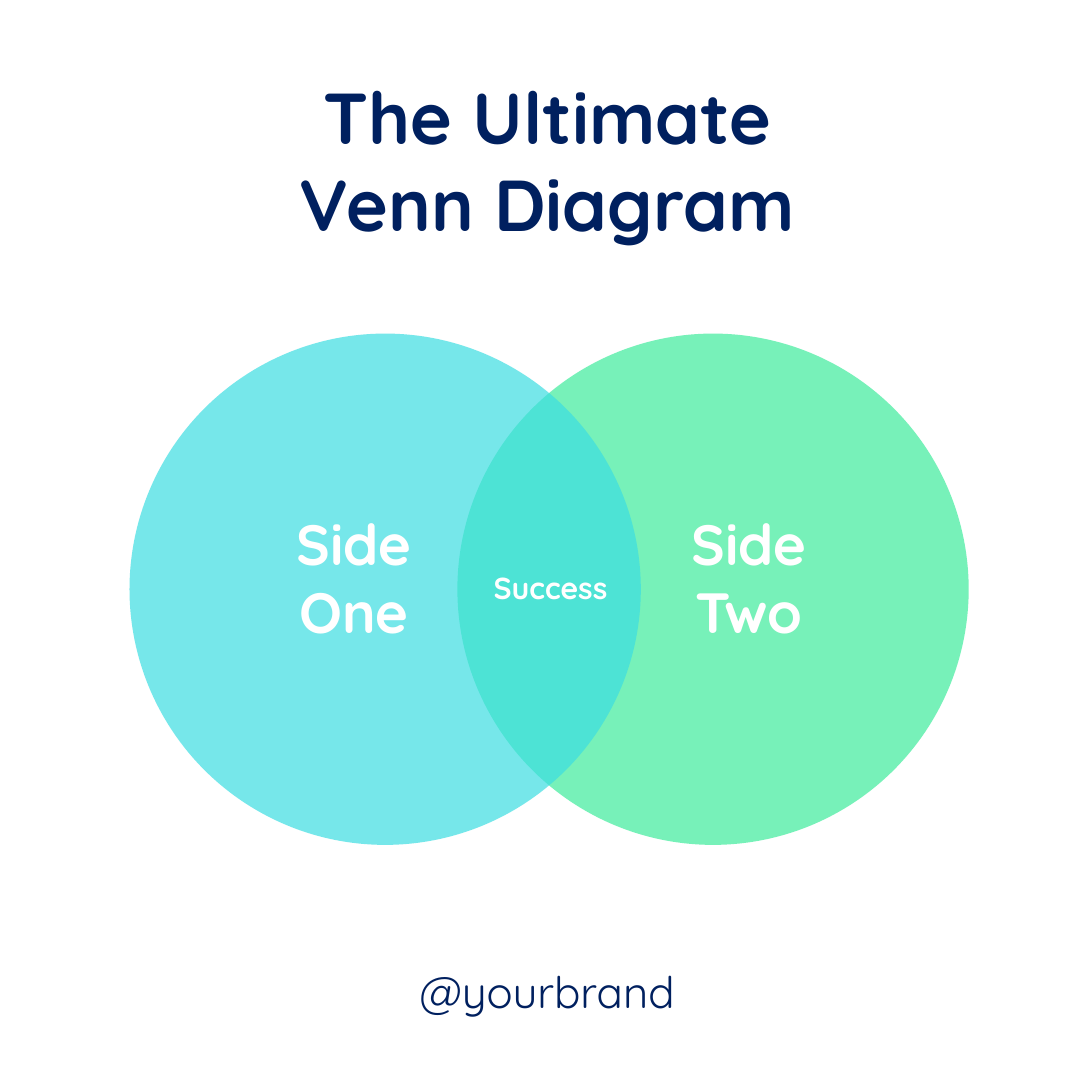
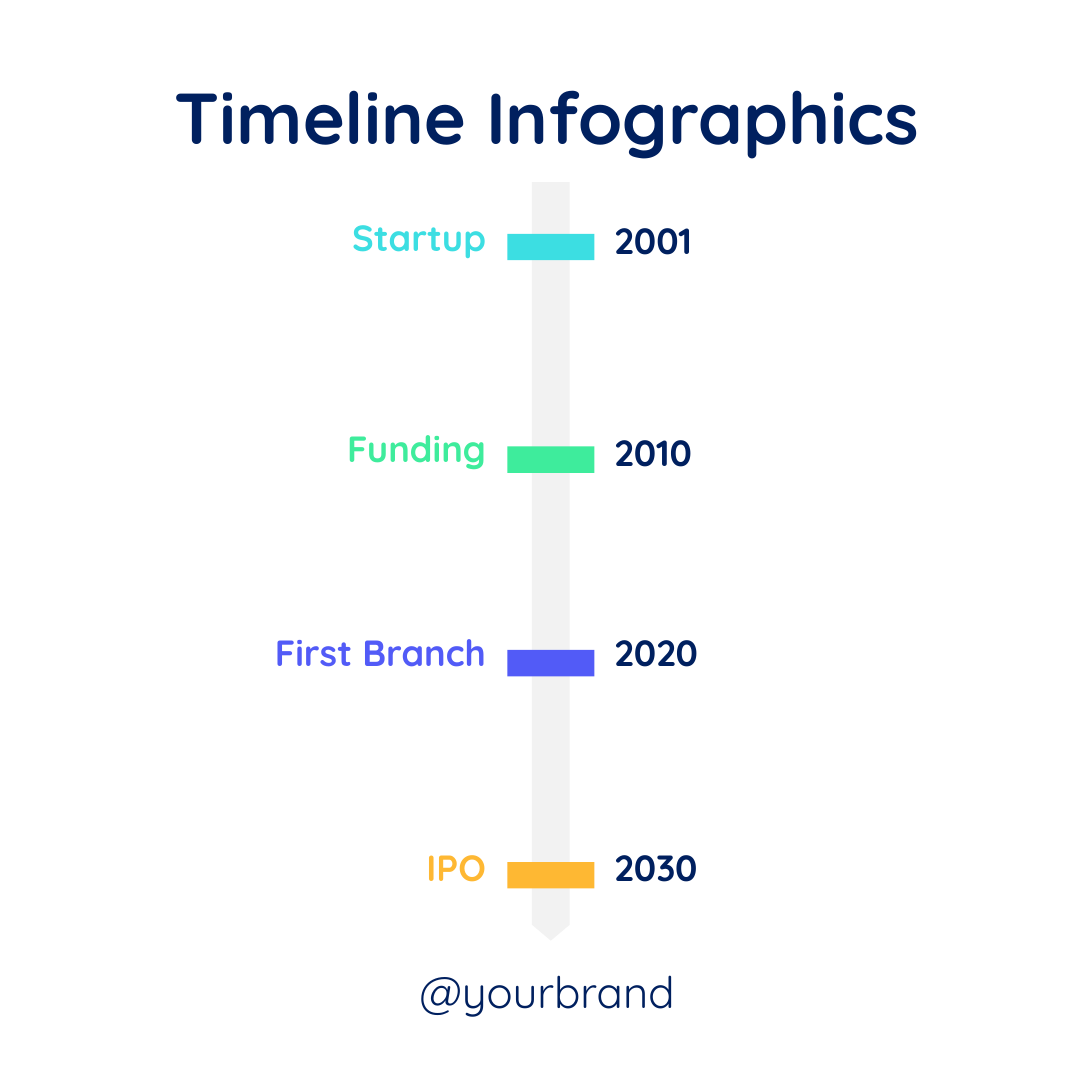
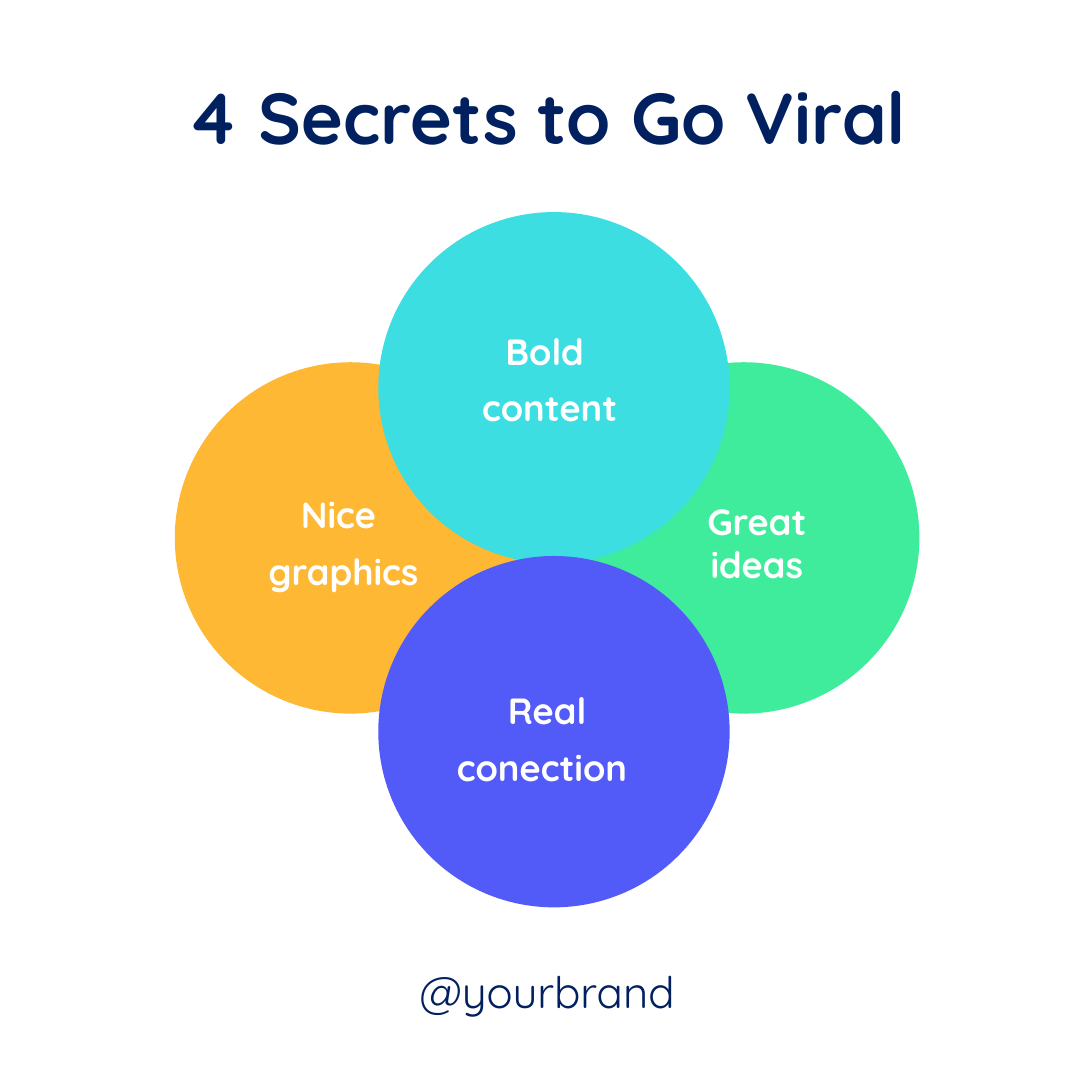
from lxml.etree import SubElement
from pptx import Presentation
from pptx.dml.color import RGBColor
from pptx.enum.shapes import MSO_SHAPE
from pptx.enum.text import MSO_ANCHOR, MSO_AUTO_SIZE, PP_ALIGN
from pptx.oxml.ns import qn
from pptx.util import Cm, Pt

NAVY = RGBColor(0x00, 0x20, 0x5F)
CYAN = RGBColor(0x3C, 0xDE, 0xE2)
GREEN = RGBColor(0x3E, 0xEC, 0x9C)
VIOLET = RGBColor(0x52, 0x5B, 0xF7)
AMBER = RGBColor(0xFE, 0xB8, 0x33)
PALE_GREY = RGBColor(0xF2, 0xF2, 0xF2)
WHITE = RGBColor(0xFF, 0xFF, 0xFF)

FONT = "Quicksand"
SLIDE_SIDE = 19.05
TITLE_ONLY_LAYOUT = 5


def write_text(frame, text, *, size, color, bold=True, align=PP_ALIGN.CENTER,
               anchor=MSO_ANCHOR.TOP, space_after=0, inset=None):
    """Fill a text frame, making one paragraph of each line of the text."""
    frame.word_wrap = True
    frame.auto_size = MSO_AUTO_SIZE.NONE
    frame.vertical_anchor = anchor
    if inset is not None:
        frame.margin_left = frame.margin_right = Cm(inset)
        frame.margin_top = frame.margin_bottom = Cm(inset)
    frame.text = text
    for para in frame.paragraphs:
        para.alignment = align
        para.space_after = Pt(space_after)
        for span in para.runs:
            span.font.name = FONT
            span.font.size = Pt(size)
            span.font.bold = bold
            span.font.color.rgb = color


def place(shape, left, top, width, height):
    shape.left, shape.top = Cm(left), Cm(top)
    shape.width, shape.height = Cm(width), Cm(height)


class SocialDeck:
    """Square deck with a shared title and footer; keeps the current page."""

    def __init__(self):
        self.deck = Presentation()
        self.deck.slide_width = self.deck.slide_height = Cm(SLIDE_SIDE)
        self.page = None

    def add_page(self, title):
        layout = self.deck.slide_layouts[TITLE_ONLY_LAYOUT]
        self.page = self.deck.slides.add_slide(layout)
        heading = self.page.shapes.title
        lines = title.count("\n") + 1
        place(heading, 1.42, 1.14, 16.26, 0.26 + 1.52 * lines)
        write_text(heading.text_frame, title, size=35.6, color=NAVY)
        self.text((6.05, 16.71, 6.99, 1.17), "@yourbrand",
                  size=21.6, color=NAVY, bold=False)

    def text(self, area, text, **style):
        box = self.page.shapes.add_textbox(*map(Cm, area))
        write_text(box.text_frame, text, **style)

    def label(self, area, text, **style):
        """Add an 18-point label, centred vertically with thin insets."""
        self.text(area, text, size=18, anchor=MSO_ANCHOR.MIDDLE,
                  space_after=6.3, inset=0.03, **style)

    def shape(self, kind, area, color, opacity=100):
        shape = self.page.shapes.add_shape(kind, *map(Cm, area))
        shape.shadow.inherit = False
        shape.fill.solid()
        shape.fill.fore_color.rgb = color
        shape.line.fill.background()
        if opacity < 100:
            fill_color = shape._element.spPr.find(".//" + qn("a:srgbClr"))
            SubElement(fill_color, qn("a:alpha"), val=str(opacity * 1000))
        return shape

    def circle(self, left, top, diameter, color, opacity=100):
        self.shape(MSO_SHAPE.OVAL, (left, top, diameter, diameter), color, opacity)


def add_venn_page(deck):
    deck.add_page("The Ultimate\nVenn Diagram")
    for left, color in ((7.98, GREEN), (2.26, CYAN)):
        deck.circle(left, 5.82, 8.92, color, opacity=70)
    for left, side in ((4.37, "Side One"), (11.26, "Side Two")):
        deck.text((left, 8.76, 3.61, 2.64), side, size=28, color=WHITE)
    deck.text((7.8, 9.8, 3.61, 0.89), "Success", size=15, color=WHITE)


def add_timeline_page(deck):
    deck.add_page("Timeline Infographics")
    arrow = deck.shape(MSO_SHAPE.DOWN_ARROW, (9.28, 3.18, 0.66, 13.23), PALE_GREY)
    arrow.adjustments[0] = 1
    arrow.adjustments[1] = 0.42
    # Event, year, colour, then the tops of the bar, the event and the year
    milestones = (
        ("Startup", "2001", CYAN, 4.08, 3.71, 3.76),
        ("Funding", "2010", GREEN, 7.79, 7.39, 7.47),
        ("First Branch", "2020", VIOLET, 11.34, 10.95, 10.95),
        ("IPO", "2030", AMBER, 15.04, 14.71, 14.71),
    )
    for event, year, color, bar_top, event_top, year_top in milestones:
        deck.shape(MSO_SHAPE.RECTANGLE, (8.85, bar_top, 1.52, 0.46), color)
        deck.label((3.02, event_top, 5.49, 0.84), event,
                   color=color, align=PP_ALIGN.RIGHT)
        deck.label((10.69, year_top, 4.06, 0.84), year,
                   color=NAVY, align=PP_ALIGN.LEFT)


def add_secrets_page(deck):
    deck.add_page("4 Secrets to Go Viral")
    for left, top, color in ((9.91, 6.32, GREEN), (3.05, 6.32, AMBER),
                             (6.6, 3.7, CYAN), (6.6, 9.7, VIOLET)):
        deck.circle(left, top, 6.13, color)
    secrets = (
        (7.75, 5.74, 3.68, "Bold \ncontent"),
        (11.53, 8.59, 3.35, "Great ideas"),
        (4.32, 8.59, 3.35, "Nice \ngraphics"),
        (7.87, 12.01, 3.35, "Real\nconection "),
    )
    for left, top, width, secret in secrets:
        deck.label((left, top, width, 1.75), secret, color=WHITE)


def main():
    social = SocialDeck()
    add_venn_page(social)
    add_timeline_page(social)
    add_secrets_page(social)
    social.deck.save("out.pptx")


if __name__ == "__main__":
    main()
